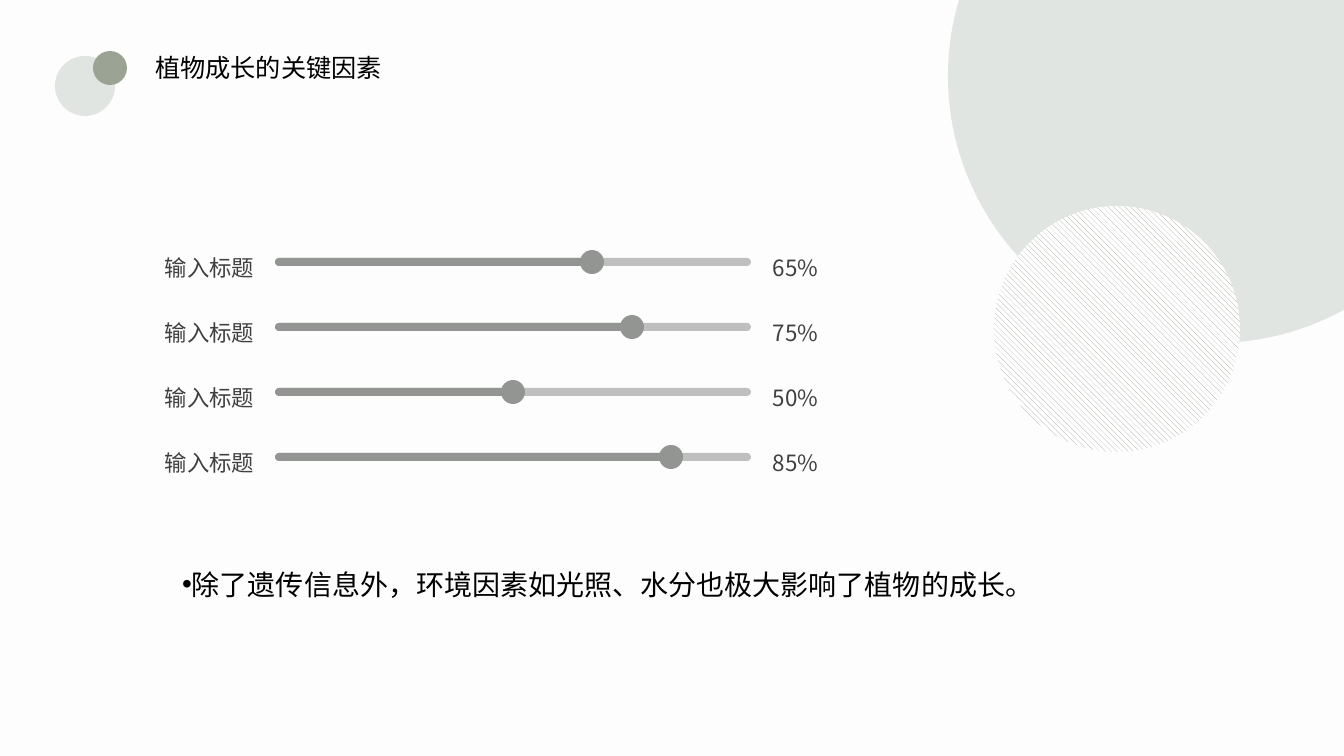
from dataclasses import dataclass
from typing import Optional

from lxml import etree
from pptx import Presentation
from pptx import util as u
from pptx.dml.color import RGBColor
from pptx.enum import dml, lang, shapes, text
from pptx.oxml import ns

PX_PER_INCH = 100.8


@dataclass(frozen=True)
class Theme:
    background: str = "FDFDFD"
    pale: str = "E1E5E2"
    sage: str = "9AA394"
    white: str = "FFFFFF"
    track: str = "BFBFBF"
    level: str = "929591"
    label: str = "404040"
    black: str = "000000"
    title_size: int = 18
    label_size: int = 16
    body_size: int = 20
    font: str = "Noto Sans CJK SC"
    body_font: str = "Roboto"


@dataclass(frozen=True)
class Box:
    left: int
    top: int
    width: int
    height: int


@dataclass(frozen=True)
class Slider:
    label: str
    value: str
    twelfths: int  # knob position along the track


THEME = Theme()
SLIDERS = [
    Slider("输入标题", "65%", 8),
    Slider("输入标题", "75%", 9),
    Slider("输入标题", "50%", 6),
    Slider("输入标题", "85%", 10),
]
TRACK = Box(275, 258, 476, 8)
ROW_PITCH = 65
KNOB = 24


def px(length: int) -> u.Emu:
    return u.Inches(length / PX_PER_INCH)


def place(shape, box: Box) -> None:
    shape.left, shape.top = px(box.left), px(box.top)
    shape.width, shape.height = px(box.width), px(box.height)


def add_filled(slide, kind, box: Box, color: str, hatch: Optional[str] = None):
    """Draw an unlined shape; hatch is the line colour of a diagonal pattern."""
    shape = slide.shapes.add_shape(kind, 0, 0, 0, 0)
    place(shape, box)
    shape.shadow.inherit = False
    shape.line.fill.background()
    if hatch:
        shape.fill.patterned()
        shape.fill.pattern = dml.MSO_PATTERN.WIDE_DOWNWARD_DIAGONAL
        shape.fill.fore_color.rgb = RGBColor.from_string(hatch)
        shape.fill.back_color.rgb = RGBColor.from_string(color)
    else:
        shape.fill.solid()
        shape.fill.fore_color.rgb = RGBColor.from_string(color)
    return shape


def add_circle(slide, left: int, top: int, diameter: int, color: str,
               hatch: Optional[str] = None) -> None:
    box = Box(left, top, diameter, diameter)
    add_filled(slide, shapes.MSO_SHAPE.OVAL, box, color, hatch)


def add_bar(slide, box: Box, color: str) -> None:
    bar = add_filled(slide, shapes.MSO_SHAPE.ROUNDED_RECTANGLE, box, color)
    bar.adjustments[0] = 0.5


def write(shape, content: str, *, size: int, color: str, font: str = THEME.font,
          align=text.PP_ALIGN.LEFT, spacing: float = 1.0, after: int = 0,
          wrap: bool = False, bullet: Optional[str] = None) -> None:
    frame = shape.text_frame
    frame.word_wrap = wrap
    frame.auto_size = text.MSO_AUTO_SIZE.NONE
    frame.vertical_anchor = text.MSO_ANCHOR.TOP
    paragraph = frame.paragraphs[0]
    paragraph.alignment = align
    paragraph.line_spacing = spacing
    paragraph.space_before = u.Pt(0)
    paragraph.space_after = u.Pt(after)
    if bullet:
        properties = paragraph._p.get_or_add_pPr()
        properties.set("marL", "0")
        properties.set("indent", "0")
        etree.SubElement(properties, ns.qn("a:buChar")).set("char", bullet)
    run = paragraph.add_run()
    run.text = content
    run.font.size = u.Pt(size)
    run.font.color.rgb = RGBColor.from_string(color)
    run.font.name = font
    run.font.language_id = lang.MSO_LANGUAGE_ID.SIMPLIFIED_CHINESE
    east_asian = etree.SubElement(run.font._element, ns.qn("a:ea"))
    east_asian.set("typeface", font)


def add_label(slide, box: Box, content: str, align) -> None:
    shape = slide.shapes.add_textbox(0, 0, 0, 0)
    place(shape, box)
    write(shape, content, size=THEME.label_size, color=THEME.label,
          align=align, spacing=1.25, after=8)


def add_slider(slide, row: int, slider: Slider) -> None:
    top = TRACK.top + row * ROW_PITCH
    filled = TRACK.width * slider.twelfths // 12
    add_bar(slide, Box(TRACK.left, top, TRACK.width, TRACK.height), THEME.track)
    add_bar(slide, Box(TRACK.left, top, filled, TRACK.height), THEME.level)
    add_circle(slide, TRACK.left + filled - KNOB // 2,
               top + (TRACK.height - KNOB) // 2, KNOB, THEME.level)
    add_label(slide, Box(153, top - 16, 111, 41), slider.label,
              text.PP_ALIGN.RIGHT)
    add_label(slide, Box(763, top - 16, 67, 41), slider.value,
              text.PP_ALIGN.LEFT)


def main() -> None:
    presentation = Presentation()
    presentation.slide_width, presentation.slide_height = px(1344), px(756)
    slide = presentation.slides.add_slide(presentation.slide_layouts[1])
    slide.background.fill.solid()
    slide.background.fill.fore_color.rgb = RGBColor.from_string(THEME.background)

    # Title with its pair of dots
    title, body = slide.placeholders
    place(title, Box(145, 51, 291, 65))
    write(title, "植物成长的关键因素", size=THEME.title_size, color=THEME.black,
          spacing=0.9)
    add_circle(slide, 55, 56, 60, THEME.pale)
    add_circle(slide, 93, 51, 34, THEME.sage)

    # Sliders
    for row, slider in enumerate(SLIDERS):
        add_slider(slide, row, slider)

    # Closing statement
    place(body, Box(172, 554, 1092, 78))
    write(body, "除了遗传信息外，环境因素如光照、水分也极大影响了植物的成长。",
          size=THEME.body_size, color=THEME.black, font=THEME.body_font,
          spacing=1.25, wrap=True, bullet="•")

    # Corner circles
    add_circle(slide, 948, -191, 534, THEME.pale)
    add_circle(slide, 994, 206, 246, THEME.white, hatch=THEME.sage)

    presentation.save("out.pptx")


if __name__ == "__main__":
    main()
